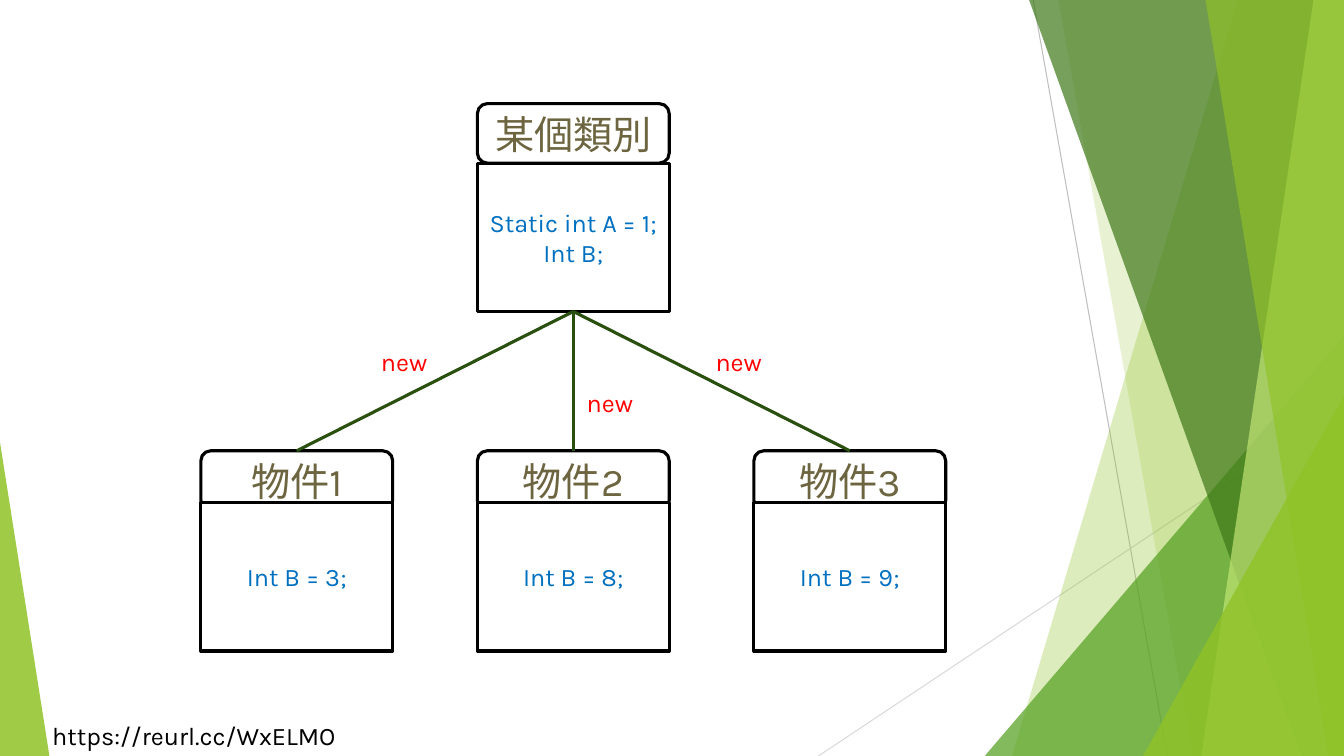
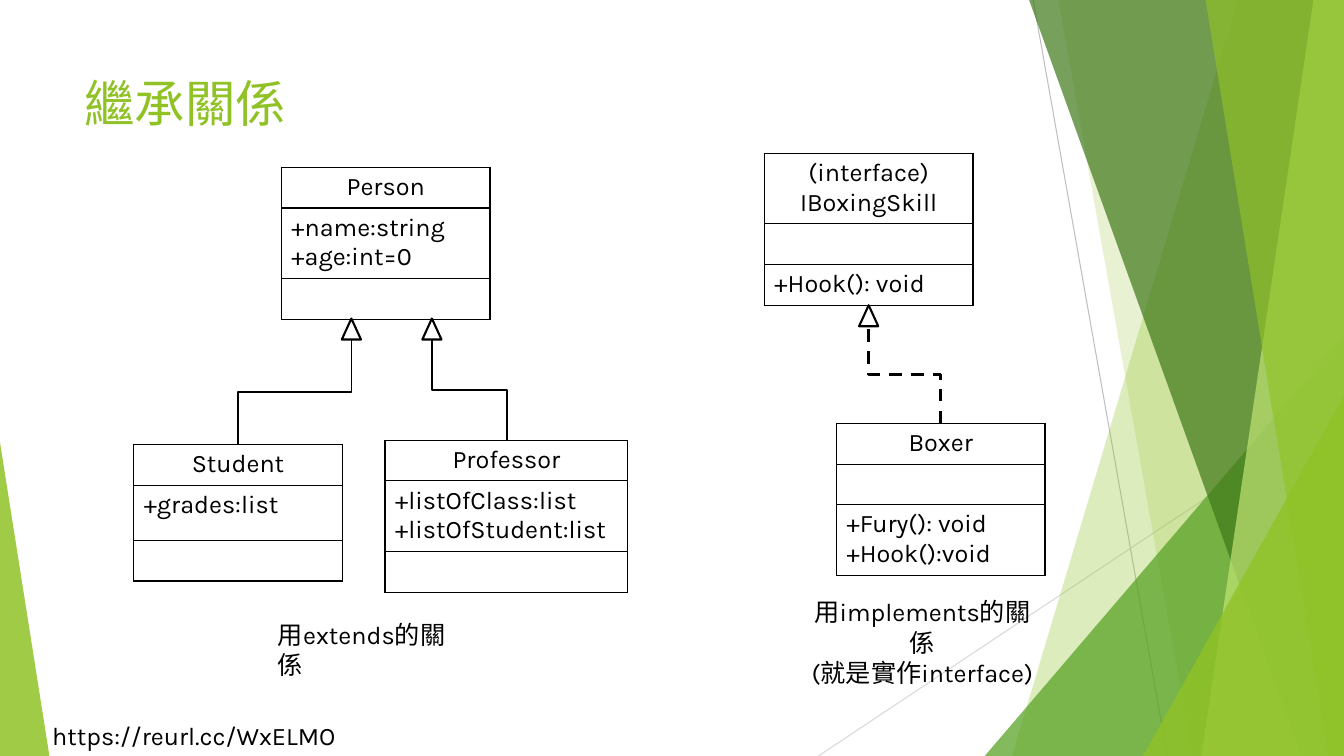
import pptx
import pptx.util
import pptx.dml.color
import pptx.enum.dml
import pptx.enum.shapes
import pptx.enum.text
import pptx.oxml
import pptx.oxml.ns
from dataclasses import dataclass

Pt = pptx.util.Pt
qn = pptx.oxml.ns.qn
KIND = pptx.enum.shapes.MSO_SHAPE
LINK = pptx.enum.shapes.MSO_CONNECTOR
ALIGN = pptx.enum.text.PP_ALIGN
ANCHOR = pptx.enum.text.MSO_ANCHOR
FIT = pptx.enum.text.MSO_AUTO_SIZE
DASH = pptx.enum.dml.MSO_LINE


@dataclass(frozen=True)
class Theme:
    font: str = "Karla"
    title: int = 36
    head: int = 28
    body: int = 18
    ink: str = "000000"
    paper: str = "FFFFFF"
    lime: str = "90C226"
    leaf: str = "54A021"
    moss: str = "3F7819"
    pale: str = "C0E474"
    pine: str = "2A5010"
    olive: str = "6D6540"
    blue: str = "0070C0"
    red: str = "FF0000"
    gray: str = "BFBFBF"
    mist: str = "D9D9D9"


T = Theme()
WIDE, HIGH = 960, 540


def rgb(code):
    return pptx.dml.color.RGBColor.from_string(code)


def apply(target, **values):
    for name, value in values.items():
        setattr(target, name, value)


def write(frame, lines, size=T.body, color=T.ink, align=ALIGN.LEFT):
    for i, text in enumerate(lines):
        para = frame.add_paragraph() if i else frame.paragraphs[0]
        para.alignment = align
        run = para.add_run()
        run.text = text
        apply(run.font, name=T.font, size=Pt(size))
        run.font.color.rgb = rgb(color)


def paint(shape, fill, alpha=100, line=None, width=1):
    shape.shadow.inherit = False
    shape.fill.solid()
    shape.fill.fore_color.rgb = rgb(fill)
    if alpha < 100:
        tint = shape._element.spPr.find(".//" + qn("a:srgbClr"))
        tint.append(pptx.oxml.parse_xml(
            f'<a:alpha {pptx.oxml.ns.nsdecls("a")} val="{alpha * 1000}"/>'))
    if line:
        shape.line.color.rgb = rgb(line)
        shape.line.width = Pt(width)
    else:
        shape.line.fill.background()


def block(slide, kind, box, **look):
    shape = slide.shapes.add_shape(kind, *map(Pt, box))
    paint(shape, **look)
    return shape


def label(slide, box, lines, wrap=False, fit=FIT.SHAPE_TO_FIT_TEXT, **look):
    frame = slide.shapes.add_textbox(*map(Pt, box)).text_frame
    apply(frame, word_wrap=wrap, auto_size=fit)
    write(frame, lines, **look)


def link(slide, start, end, color, width, kind=LINK.STRAIGHT):
    line = slide.shapes.add_connector(kind, *map(Pt, (*start, *end)))
    line.line.color.rgb = rgb(color)
    line.line.width = Pt(width)
    line._element.spPr.append(pptx.oxml.parse_xml(
        f'<a:effectLst {pptx.oxml.ns.nsdecls("a")}/>'))
    return line


def wedge(slide, box, side, color, alpha):
    """Right triangle whose apex sits at the left (0) or right (1)."""
    shape = block(slide, KIND.ISOSCELES_TRIANGLE, box, fill=color, alpha=alpha)
    shape.adjustments[0] = side


def shard(slide, top, foot, color, alpha):
    """Facet from a slanted left edge to the right side of the slide."""
    path = slide.shapes.build_freeform(Pt(top), 0)
    path.add_line_segments([(Pt(x), Pt(y)) for x, y in
                            ((WIDE, 0), (WIDE, HIGH), (foot, HIGH))])
    paint(path.convert_to_shape(), color, alpha)


def frame(deck):
    """New slide with the green facets and the footer address."""
    slide = deck.slides.add_slide(deck.slide_layouts[6])
    link(slide, (738, 0), (833.8, HIGH), T.gray, 0.75)
    link(slide, (WIDE, 290.2), (584.6, HIGH), T.mist, 0.75)
    shard(slide, 884.2, 722.9, T.lime, 30)
    shard(slide, 756, 851.8, T.lime, 20)
    wedge(slide, (703.4, 240, 256.6, 300), 1, T.leaf, 72)
    shard(slide, 735.1, 929.5, T.moss, 70)
    shard(slide, 938.2, 858.2, T.pale, 70)
    shard(slide, 861.1, 949, T.lime, 65)
    wedge(slide, (816.5, 283, 143.5, 257), 1, T.lime, 80)
    wedge(slide, (0, 316, 35.3, 224), 0, T.lime, 85)
    label(slide, (30.2, 511.2, 224.6, 28.8), ["https://reurl.cc/WxELMO"])
    return slide


CARD, HEAD, BODY = 137, 42.5, 106


def card(slide, x, y, name, lines, drop):
    """Rounded name tab with a body that starts drop points lower."""
    parts = ((KIND.ROUNDED_RECTANGLE, 0, HEAD, [name], T.head, T.olive),
             (KIND.RECTANGLE, drop, BODY, lines, T.body, T.blue))
    for kind, down, high, text, size, color in parts:
        shape = block(slide, kind, (x, y + down, CARD, high),
                      fill=T.paper, line=T.ink, width=2.25)
        apply(shape.text_frame, word_wrap=True, vertical_anchor=ANCHOR.MIDDLE)
        write(shape.text_frame, text, size, color, ALIGN.CENTER)


def edge(cell):
    props = cell._tc.get_or_add_tcPr()
    for side in "LRTB":
        props.append(pptx.oxml.parse_xml(
            f'<a:ln{side} {pptx.oxml.ns.nsdecls("a")} w="12700"><a:solidFill>'
            f'<a:srgbClr val="{T.ink}"/></a:solidFill></a:ln{side}>'))


def model(slide, x, y, parts, wide=149, highs=None):
    """Class table: name, fields and methods, one row each."""
    highs = highs or [50 if len(lines) > 1 else 29 for lines in parts]
    table = slide.shapes.add_table(
        len(parts), 1, *map(Pt, (x, y, wide, sum(highs)))).table
    apply(table, first_row=False, horz_banding=False)
    for i, (lines, high) in enumerate(zip(parts, highs)):
        table.rows[i].height = Pt(high)
        cell = table.cell(i, 0)
        edge(cell)
        cell.fill.solid()
        cell.fill.fore_color.rgb = rgb(T.paper)
        write(cell.text_frame, lines, align=ALIGN.LEFT if i else ALIGN.CENTER)
        if not lines:
            cell.text_frame.paragraphs[0].font.size = Pt(T.body)


def parent(slide, start, tip, width=1, dash=None):
    """Hollow arrow that climbs from start, turns halfway and ends at tip."""
    wide, high = 13.7, 15
    block(slide, KIND.ISOSCELES_TRIANGLE,
          (tip[0] - wide / 2, tip[1], wide, high),
          fill=T.paper, line=T.ink, width=1.5)
    end = tip[0], tip[1] + high
    mid = (start[0] + end[0]) / 2, (start[1] + end[1]) / 2
    rise, run = (start[1] - end[1]) / 2, (end[0] - start[0]) / 2
    line = link(slide, (mid[0] - rise, mid[1] - run),
                (mid[0] + rise, mid[1] + run), T.ink, width, LINK.ELBOW)
    line._element.spPr.find(qn("a:xfrm")).set("rot", str(270 * 60000))
    if dash:
        line.line.dash_style = dash


def objects(deck):
    slide = frame(deck)
    left, step, low = 143.5, 197.5, 322
    top = left + step, 74
    card(slide, *top, "某個類別", ["Static int A = 1;", "Int B;"], HEAD)
    fork = top[0] + CARD / 2, top[1] + HEAD + BODY
    for i, value in enumerate((3, 8, 9)):
        x = left + i * step
        card(slide, x, low, f"物件{i + 1}", [f"Int B = {value};"], 37)
        link(slide, fork, (x + CARD / 2, low), T.pine, 2.25)
    for x, y in ((265, 244), (412, 273), (504, 244)):
        label(slide, (x, y, 48, 28.8), ["new"], color=T.red)


def family(deck):
    slide = frame(deck)
    label(slide, (53.3, 48, 677, 104), ["繼承關係"], wrap=True, fit=FIT.NONE,
          size=T.title, color=T.lime)
    label(slide, (191.5, 438.5, 151.2, 28.8), ["用extends的關係"], wrap=True)
    label(slide, (567.4, 422.6, 182.9, 51),
          ["用implements的關係", "(就是實作interface)"], wrap=True,
          align=ALIGN.CENTER)
    model(slide, 201, 119.5, (["Person"], ["+name:string", "+age:int=0"], []))
    model(slide, 95.5, 317.5, (["Student"], ["+grades:list"], []),
          highs=(29, 39.5, 29))
    model(slide, 275, 314.5, (["Professor"],
          ["+listOfClass:list", "+listOfStudent:list"], []), wide=173.5)
    model(slide, 546, 109.5,
          (["(interface)", "IBoxingSkill"], [], ["+Hook(): void"]))
    model(slide, 597.5, 302.5,
          (["Boxer"], [], ["+Fury(): void", "+Hook():void"]))
    parent(slide, (170, 317.5), (251, 227.5))
    parent(slide, (362, 314.5), (308.5, 227.5))
    parent(slide, (672, 302.5), (620.5, 218), 2.25, DASH.DASH)


def main():
    deck = pptx.Presentation()
    apply(deck, slide_width=Pt(WIDE), slide_height=Pt(HIGH))
    objects(deck)
    family(deck)
    deck.save("out.pptx")


if __name__ == "__main__":
    main()
